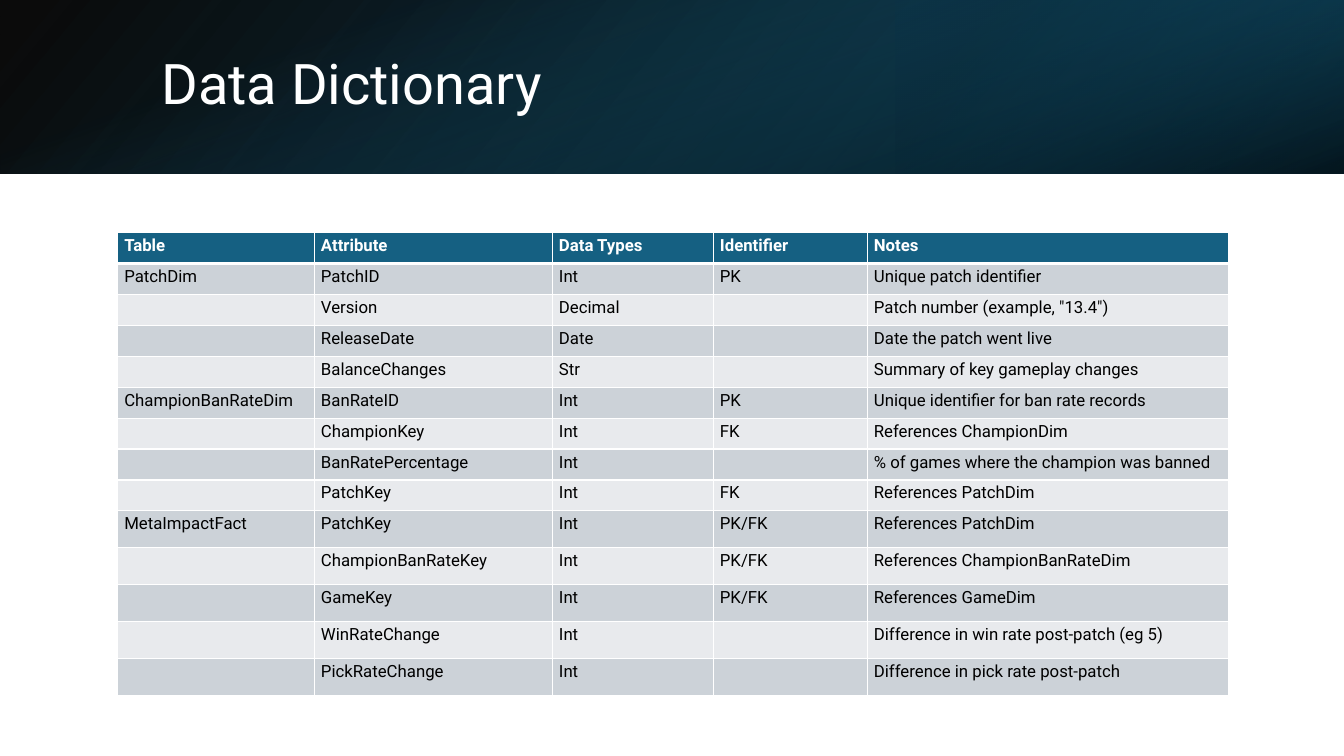
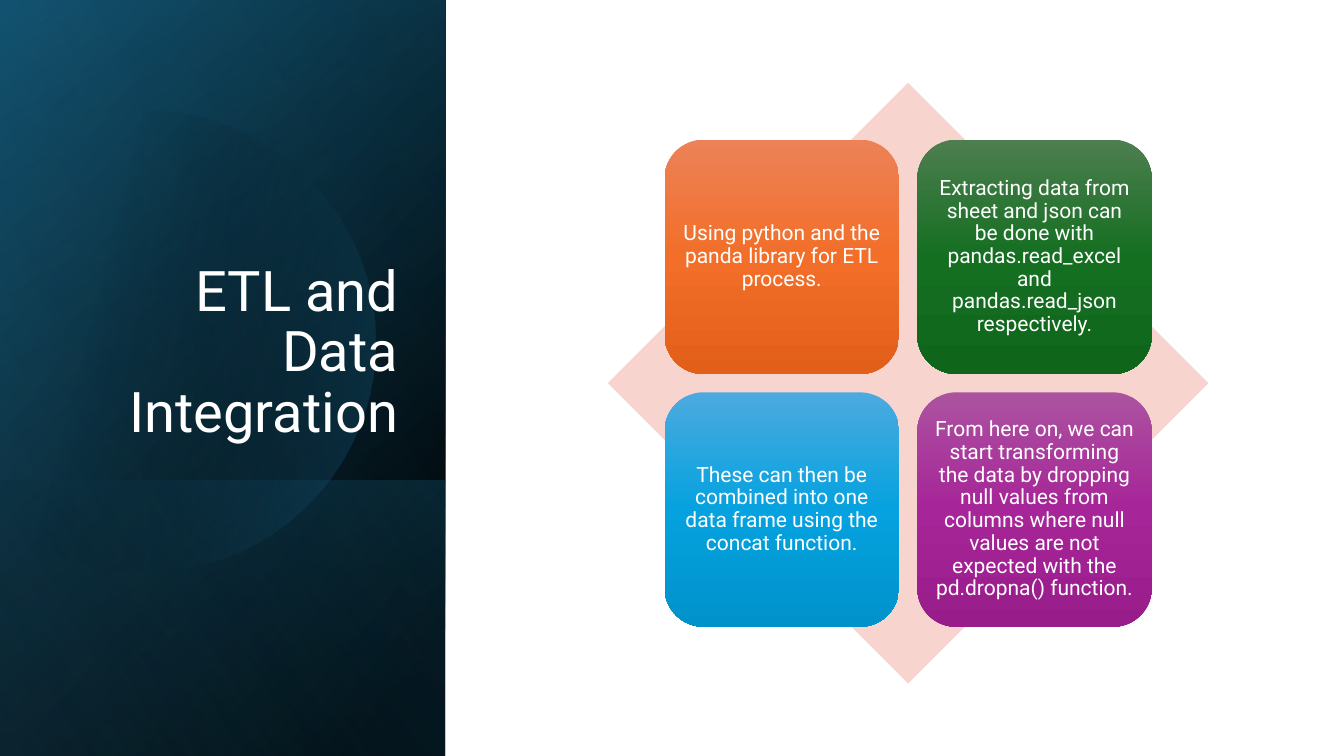
"""Build a data dictionary slide and an ETL overview slide."""
import math

from lxml import etree
from pptx import Presentation
from pptx.dml.color import RGBColor
from pptx.enum import shapes, text
from pptx.oxml.ns import qn
from pptx.util import Pt

BLACK, WHITE, TEAL, DEEP_TEAL = "000000", "FFFFFF", "156082", "104862"
ROW_FILLS = ("E8EAED", "CCD2D8")

HEADINGS = ("Table", "Attribute", "Data Types", "Identifier", "Notes")
ATTRIBUTES = (
    ("PatchDim", "PatchID", "Int", "PK", "Unique patch identifier"),
    ("", "Version", "Decimal", "", 'Patch number (example, "13.4")'),
    ("", "ReleaseDate", "Date", "", "Date the patch went live"),
    ("", "BalanceChanges", "Str", "", "Summary of key gameplay changes"),
    ("ChampionBanRateDim", "BanRateID", "Int", "PK", "Unique identifier for ban rate records"),
    ("", "ChampionKey", "Int", "FK", "References ChampionDim"),
    ("", "BanRatePercentage", "Int", "", "% of games where the champion was banned"),
    ("", "PatchKey", "Int", "FK", "References PatchDim"),
    ("MetaImpactFact", "PatchKey", "Int", "PK/FK", "References PatchDim"),
    ("", "ChampionBanRateKey", "Int", "PK/FK", "References ChampionBanRateDim"),
    ("", "GameKey", "Int", "PK/FK", "References GameDim"),
    ("", "WinRateChange", "Int", "", "Difference in win rate post-patch (eg 5)"),
    ("", "PickRateChange", "Int", "", "Difference in pick rate post-patch"),
)
COLUMN_WIDTHS = (140.5, 170, 115, 110, 258.5)
ROW_HEIGHTS = (22.1,) * 9 + (26.4,) * 5

ETL_STEPS = (
    ("Using python and the panda library for ETL process.",
     ("ED8257", "F26E29", "E25F1A")),
    ("Extracting data from sheet and json can be done with pandas.read_excel "
     "and pandas.read_json respectively.",
     ("4D7E50", "156F21", "0F661B")),
    ("These can then be combined into one data frame using the concat function.",
     ("4CAADF", "05A2DF", "0092CB")),
    ("From here on, we can start transforming the data by dropping null values from "
     "columns where null values are not expected with the pd.dropna() function.",
     ("AC53A0", "A62598", "991C8B")),
)


def rgb(value):
    """Turn a hex string into a colour."""
    return RGBColor.from_string(value)


class Deck:
    """Hold the shared style and the current slide."""

    FONT = "Roboto"

    def __init__(self):
        """Open a widescreen presentation."""
        self.show = Presentation()
        self.show.slide_width, self.show.slide_height = Pt(960), Pt(540)
        self.slide = None

    def new_slide(self):
        """Start a slide that has a title only."""
        self.slide = self.show.slides.add_slide(self.show.slide_layouts[5])

    def style(self, paragraph, size, color=WHITE, bold=False):
        """Set the font of a paragraph."""
        font = paragraph.font
        font.name, font.size, font.bold = self.FONT, Pt(size), bold
        font.color.rgb = rgb(color)

    def title(self, words, frame, align, anchor):
        """Fill the title placeholder and bring it to the front."""
        heading = self.slide.shapes.title
        heading.left, heading.top, heading.width, heading.height = map(Pt, frame)
        heading.element.getparent().append(heading.element)
        body = heading.text_frame
        body.text, body.word_wrap = words, True
        body.auto_size, body.vertical_anchor = text.MSO_AUTO_SIZE.NONE, anchor
        line = body.paragraphs[0]
        line.alignment, line.line_spacing = align, 0.9
        self.style(line, 40)

    def shade(self, shape, stops, angle):
        """Fill a shape with a gradient of (position, colour, opacity) stops."""
        shape.shadow.inherit = False
        shape.line.fill.background()
        shape.fill.gradient()
        gradient = shape.element.spPr.find(qn("a:gradFill"))
        gradient.find(qn("a:lin")).set("ang", str(angle * 60000))
        stop_list = gradient.find(qn("a:gsLst"))
        for old in list(stop_list):
            stop_list.remove(old)
        for position, color, opacity in stops:
            stop = etree.SubElement(stop_list, qn("a:gs"), pos=str(position * 1000))
            tint = etree.SubElement(stop, qn("a:srgbClr"), val=color)
            if opacity < 100:
                etree.SubElement(tint, qn("a:alpha"), val=str(opacity * 1000))

    def band(self, frame, stops, angle, rotation=0, flip=True):
        """Add a gradient rectangle that covers the frame after its rotation."""
        x, y, w, h = frame
        if rotation % 180:
            x, y, w, h = x + (w - h) / 2, y + (h - w) / 2, h, w
        panel = self.slide.shapes.add_shape(
            shapes.MSO_SHAPE.RECTANGLE, Pt(x), Pt(y), Pt(w), Pt(h))
        panel.rotation = rotation
        if flip:
            panel.element.spPr.find(qn("a:xfrm")).set("flipH", "1")
        self.shade(panel, stops, angle)

    def clipped_disc(self, x, y, radius, stops, angle):
        """Add a disc that is cut off at the left edge of the slide."""
        limit = math.acos(-x / radius)
        turns = [limit * step / 60 for step in range(-60, 61)]
        points = [(Pt(x + radius * math.cos(t)), Pt(y + radius * math.sin(t))) for t in turns]
        outline = self.slide.shapes.build_freeform(*points[0])
        outline.add_line_segments(points[1:], close=True)
        self.shade(outline.convert_to_shape(), stops, angle)

    def diamond(self, x, y, size, color):
        """Add a plain diamond around a centre."""
        backdrop = self.slide.shapes.add_shape(
            shapes.MSO_SHAPE.DIAMOND, Pt(x - size / 2), Pt(y - size / 2), Pt(size), Pt(size))
        backdrop.shadow.inherit = False
        backdrop.fill.solid()
        backdrop.fill.fore_color.rgb = rgb(color)
        backdrop.line.fill.background()

    def tile(self, x, y, size, words, colors):
        """Add a rounded square with centred text."""
        card = self.slide.shapes.add_shape(
            shapes.MSO_SHAPE.ROUNDED_RECTANGLE, Pt(x), Pt(y), Pt(size), Pt(size))
        self.shade(card, [(50 * i, color, 100) for i, color in enumerate(colors)], 90)
        body = card.text_frame
        body.text, body.word_wrap = words, True
        body.vertical_anchor = text.MSO_ANCHOR.MIDDLE
        body.margin_left = body.margin_right = body.margin_top = body.margin_bottom = Pt(4.5)
        line = body.paragraphs[0]
        line.alignment, line.line_spacing = text.PP_ALIGN.CENTER, 0.9
        self.style(line, 15)

    def borders(self, cell, top, bottom):
        """Give a cell white borders."""
        properties = cell._tc.get_or_add_tcPr()
        for side, width in (("L", 1), ("R", 1), ("T", top), ("B", bottom)):
            edge = etree.SubElement(properties, qn("a:ln" + side), w=str(Pt(width)))
            paint = etree.SubElement(edge, qn("a:solidFill"))
            etree.SubElement(paint, qn("a:srgbClr"), val=WHITE)

    def table(self, x, y, widths, heights, rows):
        """Add a banded table whose first row is the heading."""
        grid = self.slide.shapes.add_table(
            len(rows), len(widths), Pt(x), Pt(y), Pt(sum(widths)), Pt(sum(heights))).table
        for column, width in zip(grid.columns, widths):
            column.width = Pt(width)
        for r, (row, height, entries) in enumerate(zip(grid.rows, heights, rows)):
            row.height = Pt(height)
            is_heading = r == 0
            for cell, entry in zip(row.cells, entries):
                self.borders(cell, 3 if r == 1 else 1, 3 if is_heading else 1)
                cell.fill.solid()
                cell.fill.fore_color.rgb = rgb(TEAL if is_heading else ROW_FILLS[r % 2])
                cell.margin_left = cell.margin_right = Pt(4.8)
                cell.margin_top = cell.margin_bottom = Pt(2.4)
                cell.text = entry
                self.style(cell.text_frame.paragraphs[0], 12,
                           WHITE if is_heading else BLACK, is_heading)


def data_dictionary(deck):
    """Build the slide that lists the attributes."""
    deck.new_slide()
    header = (0, 0, 960, 124)
    deck.band(header, [(0, BLACK, 96), (100, DEEP_TEAL, 100)], 140)
    deck.band((640, 0, 320, 124), [(19, "0B3041", 68), (100, TEAL, 79)], 320, 180)
    deck.band(header, [(23, TEAL, 0), (99, BLACK, 74)], 340, 90, flip=False)
    deck.title("Data Dictionary", (108, 27.5, 790, 69),
               text.PP_ALIGN.LEFT, text.MSO_ANCHOR.MIDDLE)
    deck.table(84, 166.2, COLUMN_WIDTHS, ROW_HEIGHTS, (HEADINGS,) + ATTRIBUTES)


def etl_integration(deck):
    """Build the slide that shows the ETL steps."""
    deck.new_slide()
    side = (0, 0, 318, 540)
    deck.band(side, [(8, BLACK, 100), (100, DEEP_TEAL, 100)], 50, 90)
    deck.band(side, [(0, BLACK, 0), (99, TEAL, 46)], 30, 90)
    deck.band((0, 343, 318, 197), [(2, TEAL, 29), (100, BLACK, 30)], 130, 90)
    deck.clipped_disc(103, 244, 165, [(29, BLACK, 0), (100, TEAL, 43)], 14)
    deck.band(side, [(0, BLACK, 0), (99, "46B1E1", 11)], 120, 90)
    deck.title("ETL and Data Integration", (46, 132.5, 245.5, 188.5),
               text.PP_ALIGN.RIGHT, text.MSO_ANCHOR.BOTTOM)
    center_x, center_y, size, gap = 648.7, 273.7, 167.5, 13
    deck.diamond(center_x, center_y, 429, "F7D5CE")
    for i, (words, colors) in enumerate(ETL_STEPS):
        row, column = divmod(i, 2)
        deck.tile(center_x - size - gap / 2 + column * (size + gap),
                  center_y - size - gap / 2 + row * (size + gap), size, words, colors)


def main():
    """Build and save the deck."""
    deck = Deck()
    data_dictionary(deck)
    etl_integration(deck)
    deck.show.save("out.pptx")


if __name__ == "__main__":
    main()
